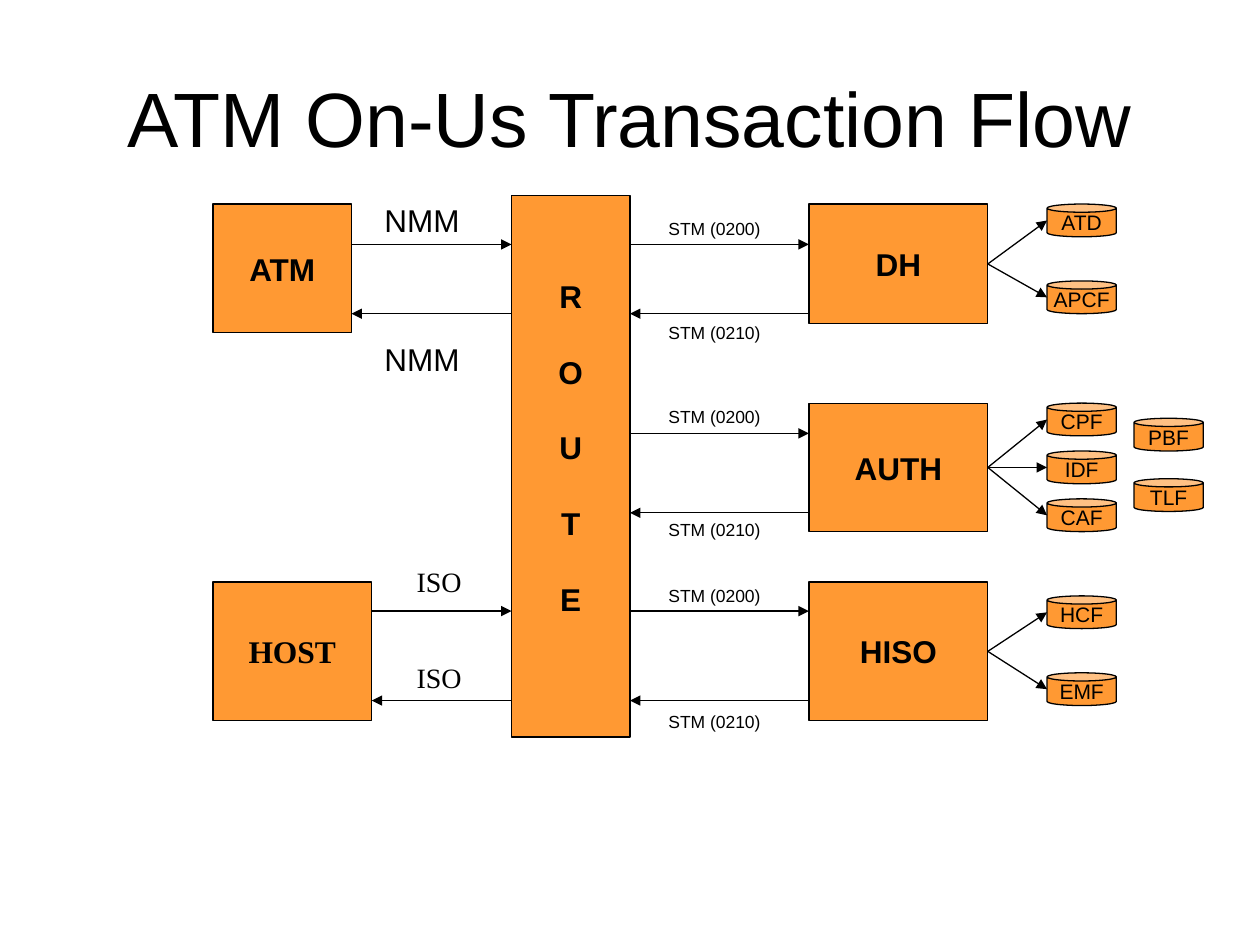
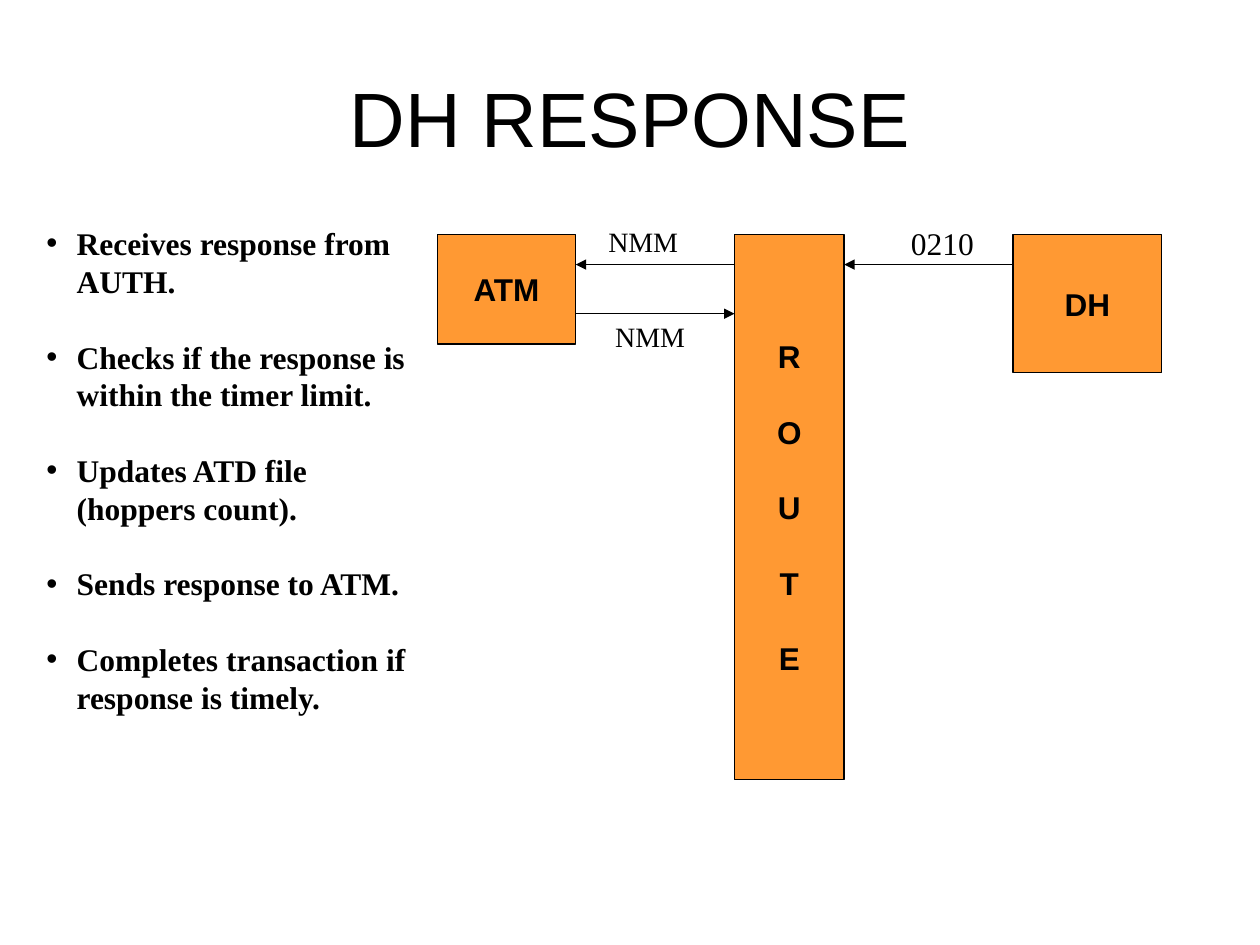
from lxml import etree
from pptx import Presentation
from pptx import util as u
from pptx.dml.color import RGBColor
from pptx.enum import shapes, text
from pptx.oxml.ns import qn

BLACK = RGBColor(0x00, 0x00, 0x00)
ORANGE = RGBColor(0xFF, 0x99, 0x33)
SANS, SERIF = "Arial", "Times New Roman"

SLIDE_WIDTH, SLIDE_HEIGHT = u.Inches(10), u.Inches(7.5)
COLUMNS, ROWS = 100, 75
BLANK_LINE = 21.6
BULLET_INDENT = 2.4
CAN_WIDTH, CAN_HEIGHT = 5.5, 2.6
CAN_COLUMN, OUTER_CAN_COLUMN = 83.1, 90
SWITCH_NAME = "ROUTE"


def across(columns):
    return u.Emu(round(SLIDE_WIDTH * columns / COLUMNS))


def down(rows):
    return u.Emu(round(SLIDE_HEIGHT * rows / ROWS))


def grid_box(left, top, width, height):
    return across(left), down(top), across(width), down(height)


def add_bullet(paragraph):
    properties = paragraph._p.get_or_add_pPr()
    properties.set("marL", str(across(BULLET_INDENT)))
    properties.set("indent", str(-across(BULLET_INDENT)))
    etree.SubElement(properties, qn("a:buFont")).set("typeface", SANS)
    etree.SubElement(properties, qn("a:buChar")).set("char", "•")


def write(shape, lines, size=18, font=SANS, bold=False, wrap=False, gap=0,
          bullets=False, align=text.PP_ALIGN.CENTER,
          anchor=text.MSO_ANCHOR.MIDDLE):
    """Fill a shape with one paragraph per line; gap is the points between."""
    frame = shape.text_frame
    frame.word_wrap = wrap
    frame.vertical_anchor = anchor
    for index, line in enumerate(lines):
        paragraph = frame.add_paragraph() if index else frame.paragraphs[0]
        paragraph.text = line
        paragraph.alignment = align
        if index and gap:
            paragraph.space_before = u.Pt(gap)
        if bullets:
            add_bullet(paragraph)
        run_font = paragraph.runs[0].font
        run_font.size, run_font.name, run_font.bold = u.Pt(size), font, bold
        run_font.color.rgb = BLACK


def add_title(slide, title):
    shape = slide.shapes.add_textbox(*grid_box(5, 3, 90, 12.5))
    write(shape, [title], size=44, wrap=True)


def add_orange_shape(slide, kind, box):
    shape = slide.shapes.add_shape(kind, *grid_box(*box))
    shape.shadow.inherit = False
    shape.fill.solid()
    shape.fill.fore_color.rgb = ORANGE
    shape.line.color.rgb = BLACK
    shape.line.width = u.Pt(0.75)
    return shape


def add_node(slide, name, box, font=SANS):
    shape = add_orange_shape(slide, shapes.MSO_SHAPE.RECTANGLE, box)
    write(shape, [name], font=font, bold=True)
    return shape


def add_switch(slide, box, blank_rows_below=0):
    """Add the tall bar whose name reads downwards."""
    shape = add_orange_shape(slide, shapes.MSO_SHAPE.RECTANGLE, box)
    shape.text_frame.margin_bottom = down(0.5 + blank_rows_below)
    write(shape, SWITCH_NAME, bold=True, gap=BLANK_LINE)


def add_file(slide, name, left, top):
    box = (left, top, CAN_WIDTH, CAN_HEIGHT)
    write(add_orange_shape(slide, shapes.MSO_SHAPE.CAN, box), [name], size=12)


def add_arrow(slide, start, end):
    arrow = slide.shapes.add_connector(
        shapes.MSO_CONNECTOR.STRAIGHT, across(start[0]), down(start[1]),
        across(end[0]), down(end[1]))
    arrow.line.color.rgb = BLACK
    arrow.line.width = u.Pt(0.75)
    etree.SubElement(arrow.line._get_or_add_ln(), qn("a:tailEnd")).set(
        "type", "triangle")
    etree.SubElement(arrow._element.spPr, qn("a:effectLst"))
    return arrow


def add_message(slide, start, end, row):
    add_arrow(slide, (start, row), (end, row))


def add_label(slide, label, center, top, width=8, size=18, font=SANS):
    height = size / 6 + 1
    shape = slide.shapes.add_textbox(
        *grid_box(center - width / 2, top, width, height))
    write(shape, [label], size=size, font=font, anchor=text.MSO_ANCHOR.TOP)


def add_service(slide, name, top, height, messages, files):
    """Add a service node with its two switch messages and its files."""
    left, width, switch_edge = 64.2, 14.2, 50
    node = add_node(slide, name, (left, top, width, height))
    (request_row, request_label), (reply_row, reply_label) = messages
    add_message(slide, switch_edge, left, request_row)
    add_message(slide, left, switch_edge, reply_row)
    add_label(slide, "STM (0200)", 56.7, request_label, width=10.2, size=10)
    add_label(slide, "STM (0210)", 56.7, reply_label, width=10.2, size=10)
    for file_name, file_top in files:
        add_file(slide, file_name, CAN_COLUMN, file_top)
        arrow = add_arrow(slide, (left + width, top + height / 2),
                          (CAN_COLUMN, file_top + CAN_HEIGHT / 2))
        arrow.begin_connect(node, 3)


def build_transaction_flow(slide):
    add_title(slide, "ATM On-Us Transaction Flow")
    switch_left = 40.6
    add_switch(slide, (switch_left, 15.5, 9.4, 43), blank_rows_below=3)

    add_node(slide, "ATM", (16.9, 16.2, 11, 10.2))
    add_message(slide, 27.9, switch_left, 19.4)
    add_message(slide, switch_left, 27.9, 24.9)
    for top in (15.5, 26.5):
        add_label(slide, "NMM", 33.5, top)

    add_node(slide, "HOST", (16.9, 46.2, 12.6, 11), font=SERIF)
    add_message(slide, 29.5, switch_left, 48.5)
    add_message(slide, switch_left, 29.5, 55.6)
    for top in (44.3, 51.9):
        add_label(slide, "ISO", 34.85, top, size=16, font=SERIF)

    add_service(slide, "DH", 16.2, 9.5, [(19.4, 16.8), (24.9, 25.1)],
                [("ATD", 16.2), ("APCF", 22.3)])
    add_service(slide, "AUTH", 32, 10.2, [(34.4, 31.7), (40.7, 40.7)],
                [("CPF", 32), ("IDF", 35.8), ("CAF", 39.6)])
    add_service(slide, "HISO", 46.2, 11, [(48.5, 45.9), (55.6, 55.9)],
                [("HCF", 47.3), ("EMF", 53.4)])
    add_file(slide, "PBF", OUTER_CAN_COLUMN, 33.2)
    add_file(slide, "TLF", OUTER_CAN_COLUMN, 38)


def build_dh_response(slide):
    add_title(slide, "DH RESPONSE")
    top, atm_edge, switch_left, switch_right, dh_left = 18.6, 45.7, 58.3, 67, 80.4
    add_node(slide, "ATM", (34.7, top, 11, 8.7))
    add_switch(slide, (switch_left, top, switch_right - switch_left, 43.3))
    add_node(slide, "DH", (dh_left, top, 11.8, 11))

    add_message(slide, dh_left, switch_right, 21)
    add_message(slide, switch_left, atm_edge, 21)
    add_message(slide, atm_edge, switch_left, 24.9)
    add_label(slide, "NMM", 51.05, 17.3, size=16, font=SERIF)
    add_label(slide, "NMM", 51.6, 24.9, size=16, font=SERIF)
    add_label(slide, "0210", 74.8, 17.3, font=SERIF)

    steps = slide.shapes.add_textbox(*grid_box(2.7, 17.3, 32, 40))
    write(steps, [
        "Receives response from AUTH.",
        "Checks if the response is within the timer limit.",
        "Updates ATD file (hoppers count).",
        "Sends response to ATM.",
        "Completes transaction if response is timely.",
    ], font=SERIF, bold=True, wrap=True, gap=BLANK_LINE, bullets=True,
        align=text.PP_ALIGN.LEFT, anchor=text.MSO_ANCHOR.TOP)


def main():
    presentation = Presentation()
    presentation.slide_width = SLIDE_WIDTH
    presentation.slide_height = SLIDE_HEIGHT
    blank_layout = presentation.slide_layouts[6]
    for build in (build_transaction_flow, build_dh_response):
        build(presentation.slides.add_slide(blank_layout))
    presentation.save("out.pptx")


if __name__ == "__main__":
    main()
